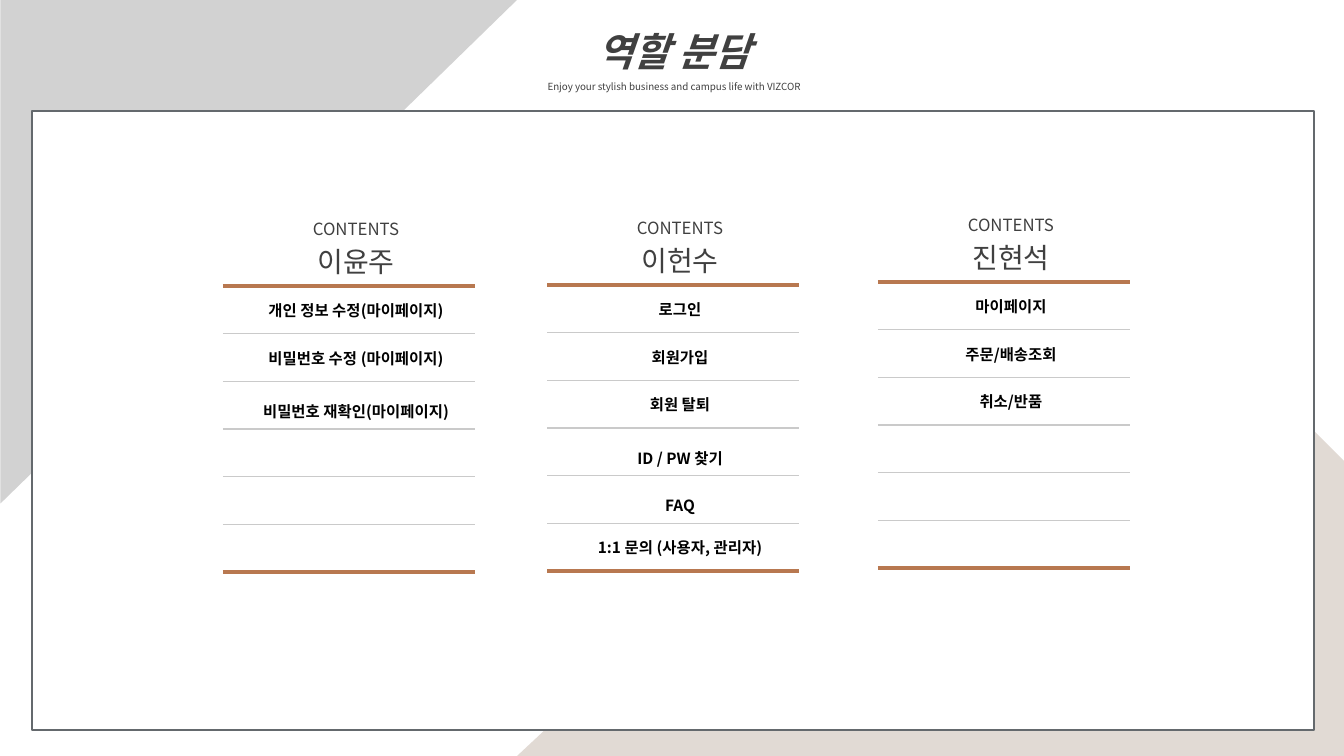
from lxml.etree import SubElement
from pptx import Presentation
from pptx.dml.color import RGBColor
from pptx.enum.shapes import MSO_SHAPE as Preset
from pptx.enum.text import MSO_ANCHOR as Anchor, MSO_AUTO_SIZE as AutoSize, PP_ALIGN as Align
from pptx.oxml.ns import qn
from pptx.util import Emu, Pt

PX = 914400 / 100.8
FONT = "Noto Sans CJK KR"
WHITE = RGBColor(0xFF, 0xFF, 0xFF)
BLACK = RGBColor(0x00, 0x00, 0x00)
DARK = RGBColor(0x40, 0x40, 0x40)
FRAME = RGBColor(0x64, 0x69, 0x6D)
BEIGE = RGBColor(0xE1, 0xDA, 0xD4)
GRAY = RGBColor(0xD2, 0xD2, 0xD2)
RULE = RGBColor(0xCA, 0xCA, 0xCA)
COPPER = RGBColor(0xB8, 0x78, 0x50)


def px(*lengths):
    return [Emu(round(length * PX)) for length in lengths]


def write(para, text, size, color, bold=False, italic=False, spacing=1.0):
    para.text = text
    para.alignment = Align.CENTER
    para.line_spacing = spacing
    font = para.font
    font.name, font.size, font.bold, font.italic = FONT, Pt(size), bold, italic
    font.color.rgb = color
    # Korean letters take the East Asian typeface
    SubElement(para._p.pPr.find(qn("a:defRPr")), qn("a:ea"), typeface=FONT)


deck = Presentation()
deck.slide_width, deck.slide_height = px(1344, 756)
page = deck.slides.add_slide(deck.slide_layouts[5])

# Background shapes and white frame
builder = page.shapes.build_freeform(1052, 256, scale=PX)
builder.add_line_segments([(1139, 256), (1344, 461), (1344, 756), (517, 756)])
corner = builder.convert_to_shape()
triangle = page.shapes.add_shape(Preset.RIGHT_TRIANGLE, *px(7, -7, 504, 517))
triangle.rotation = 90
frame = page.shapes.add_shape(Preset.RECTANGLE, *px(32, 111, 1282, 619))
for shape, color in ((corner, BEIGE), (triangle, GRAY), (frame, WHITE)):
    shape.shadow.inherit = False
    shape.fill.solid()
    shape.fill.fore_color.rgb = color
    shape.line.fill.background()
frame.line.color.rgb = FRAME
frame.line.width = Pt(1)

# Title
title = page.shapes.title
title.left, title.top, title.width, title.height = px(338, -1, 672, 98)
box = title.text_frame
box.word_wrap = True
box.auto_size = AutoSize.NONE
box.vertical_anchor = Anchor.MIDDLE
write(box.paragraphs[0], "역할 분담", 28, DARK, bold=True, italic=True, spacing=1.5)
write(box.add_paragraph(), "Enjoy your stylish business and campus life with VIZCOR",
      7, DARK, spacing=1.5)

# One table per member: left, top, header height, name, tasks
MEMBERS = [
    (547, 210, 72, "이헌수", ["로그인", "회원가입", "회원 탈퇴", "ID / PW 찾기", "FAQ",
                           "1:1 문의 (사용자, 관리자)"]),
    (878, 207, 75, "진현석", ["마이페이지", "주문/배송조회", "취소/반품"]),
    (223, 211, 72, "이윤주", ["개인 정보 수정(마이페이지)", "비밀번호 수정 (마이페이지)",
                           "비밀번호 재확인(마이페이지)"]),
]
LOOSE_TASKS = {"ID / PW 찾기", "FAQ", "비밀번호 재확인(마이페이지)"}
TASK_ROWS = 6
TASKS_HEIGHT, LAST_HEIGHT = 286, 44
# Rule below the header, the six tasks and the last row
RULES = [(COPPER, 3)] + [(RULE, 1)] * (TASK_ROWS - 1) + [(COPPER, 3), None]

for left, top, header, name, tasks in MEMBERS:
    height = header + TASKS_HEIGHT + LAST_HEIGHT
    table = page.shapes.add_table(TASK_ROWS + 2, 1, *px(left, top, 252, height)).table
    table.first_row = table.horz_banding = False
    heights = px(header, *[TASKS_HEIGHT / TASK_ROWS] * TASK_ROWS, LAST_HEIGHT)

    for index, row_height in enumerate(heights):
        table.rows[index].height = row_height
        cell = table.cell(index, 0)
        cell.vertical_anchor = Anchor.MIDDLE
        cell.margin_left, cell.margin_right, cell.margin_top, cell.margin_bottom = px(24, 10, 5, 5)
        cell.fill.background()

        # Text
        para = cell.text_frame.paragraphs[0]
        if index == 0:
            write(para, "CONTENTS", 12, DARK)
            write(cell.text_frame.add_paragraph(), name, 20, DARK)
        elif index <= len(tasks):
            task = tasks[index - 1]
            write(para, task, 11, BLACK, bold=True,
                  spacing=1.5 if task in LOOSE_TASKS else 1.0)
        else:
            para.font.size = Pt(11)

        # Borders, which stand before the fill
        above = RULES[index - 1] if index else None
        sides = (("a:lnL", None), ("a:lnR", None), ("a:lnT", above), ("a:lnB", RULES[index]))
        props = cell._tc.get_or_add_tcPr()
        for place, (side, rule) in enumerate(sides):
            line = SubElement(props, qn(side))
            props.insert(place, line)
            if rule:
                line.set("w", str(Pt(rule[1])))
                SubElement(SubElement(line, qn("a:solidFill")), qn("a:srgbClr"), val=str(rule[0]))
            else:
                SubElement(line, qn("a:noFill"))

deck.save("out.pptx")
